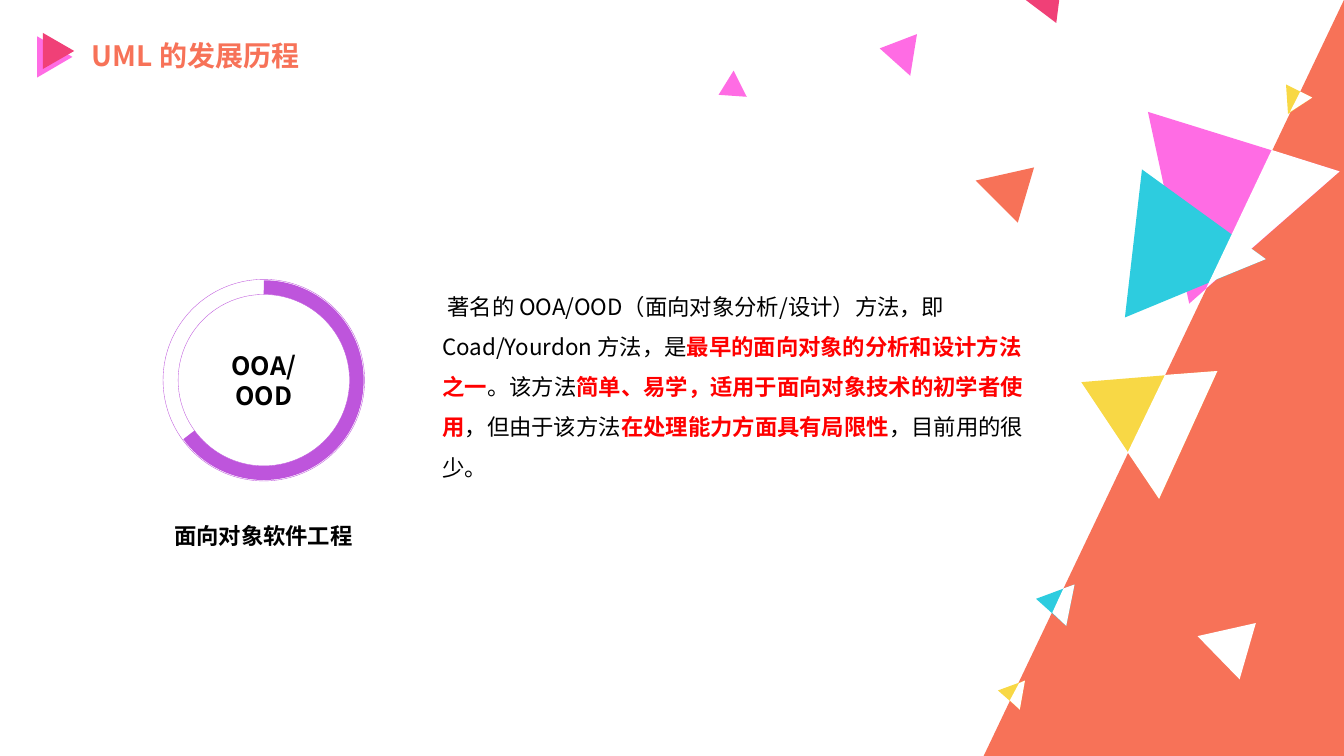
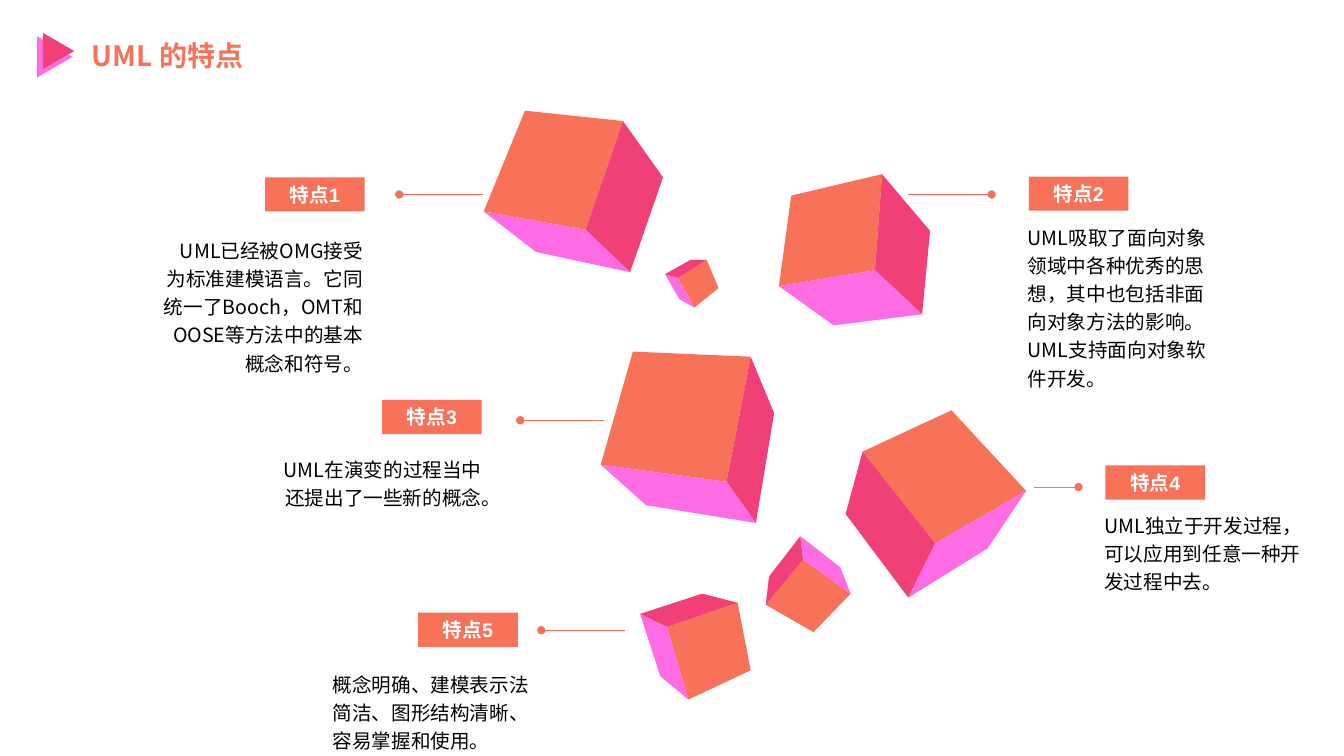
"""Build two slides on the history and the features of UML."""
from lxml import etree
from pptx import Presentation
from pptx import util as u
from pptx.dml.color import RGBColor
from pptx.enum import shapes, text
from pptx.oxml.ns import qn

ORANGE = RGBColor(0xF7, 0x72, 0x58)
MAGENTA = RGBColor(0xFF, 0x6C, 0xE4)
CRIMSON = RGBColor(0xF0, 0x40, 0x77)
CYAN = RGBColor(0x2D, 0xCC, 0xDF)
YELLOW = RGBColor(0xF8, 0xD8, 0x45)
PURPLE = RGBColor(0xBE, 0x55, 0xDC)
RED = RGBColor(0xFF, 0, 0)
BLACK = RGBColor(0, 0, 0)
WHITE = RGBColor(0xFF, 0xFF, 0xFF)

CJK = "Noto Sans CJK SC"
LEFT, CENTER, RIGHT = text.PP_ALIGN.LEFT, text.PP_ALIGN.CENTER, text.PP_ALIGN.RIGHT
TITLE_FONT = {"name": CJK, "size": u.Pt(20), "bold": True, "color": ORANGE}
RING_FONT = {"name": CJK, "size": u.Pt(18), "bold": True, "color": BLACK}
CAPTION_FONT = {"name": "Arial", "size": u.Pt(16), "bold": True, "color": BLACK}
BODY_FONT = {"name": CJK, "size": u.Pt(16), "bold": False, "color": BLACK}
NOTE_FONT = {"name": CJK, "size": u.Pt(14), "bold": False, "color": BLACK}
LABEL_FONT = {"name": "Arial", "size": u.Pt(14), "bold": True, "color": WHITE}
KEY = {"bold": True, "color": RED}
WIDE_LINES = {"line_spacing": 1.5, "space_before": u.Pt(3.2)}
NOTE_LINES = {"line_spacing": 1.2, "space_before": u.Pt(2.8)}
NO_INSETS = dict.fromkeys(
    ("margin_left", "margin_top", "margin_right", "margin_bottom"), 0)

CONFETTI = [
    (ORANGE, [(26.06, 4.22), (25.65, 5.61), (24.59, 4.55)]),
    (MAGENTA, [(29.97, 7.65), (28.93, 2.82), (33.76, 4.32)]),
    (CYAN, [(28.35, 8), (28.78, 4.27), (31.9, 6.53)]),
    (CYAN, [(26.11, 15.09), (27.08, 14.73), (26.87, 15.77)]),
    (YELLOW, [(25.15, 17.4), (25.83, 17.15), (25.7, 17.88)]),
    (YELLOW, [(27.25, 9.63), (30.68, 9.35), (29.21, 12.57)]),
    (YELLOW, [(32.46, 2.87), (32.41, 2.13), (33.07, 2.46)]),
    (MAGENTA, [(22.17, 1.22), (23.11, 0.86), (22.94, 1.91)]),
    (CRIMSON, [(26.62, 0.58), (25.81, -0.03), (26.75, -0.43)]),
    (WHITE, [(31.65, 15.7), (31.24, 17.12), (30.18, 16.03)]),
    (WHITE, [(32.05, 3.78), (33.76, 4.32), (30.4, 7.26)]),
    (WHITE, [(31.06, 5.92), (31.9, 6.53), (30.48, 7.11)]),
    (WHITE, [(27.08, 14.73), (26.87, 15.77), (26.52, 15.44), (26.8, 14.83)]),
    (WHITE, [(25.83, 17.15), (25.7, 17.88), (25.45, 17.65), (25.68, 17.22)]),
    (WHITE, [(30.68, 9.35), (29.21, 12.57), (28.42, 11.4), (29.36, 9.45)]),
    (WHITE, [(32.77, 2.31), (33.07, 2.46), (32.51, 2.82)]),
    (MAGENTA, [(18.11, 2.39), (18.49, 1.78), (18.82, 2.44)]),
]

CUBES = [
    ((22.05, 6.81), [(19.63, 7.21), (19.94, 4.93), (22.23, 4.39),
                     (23.44, 5.82), (23.24, 7.92), (21.01, 8.2)]),
    ((23.57, 13.69), [(25.86, 12.37), (23.98, 10.34), (21.74, 11.38),
                      (21.31, 12.95), (22.89, 15.06), (24.89, 13.82)]),
    ((14.76, 5.79), [(12.19, 5.33), (13.23, 2.79), (15.7, 3.05),
                     (16.71, 4.47), (15.88, 6.86), (13.51, 6.35)]),
    ((18.31, 12.14), [(15.14, 11.71), (15.95, 8.86), (18.92, 8.99),
                      (19.51, 10.41), (19.05, 13.18), (16.28, 12.73)]),
    ((17.09, 7.01), [(17.5, 7.75), (18.11, 7.26), (17.81, 6.55),
                     (17.4, 6.55), (16.76, 6.91), (17.12, 7.54)]),
    ((20.24, 14.1), [(21.44, 14.96), (20.5, 15.93), (19.3, 15.24),
                     (19.38, 14.53), (20.17, 13.51), (21.18, 14.3)]),
    ((16.81, 15.8), [(17.35, 17.63), (18.92, 16.89), (18.59, 15.19),
                     (17.7, 14.96), (16.13, 15.47), (16.64, 17.04)]),
]

FEATURES = [
    ("特点1", (6.68, 4.47), (12.17, 10.06, 4.9), (3.84, 5.77, 5.56, 3.84), RIGHT,
     "UML已经被OMG接受为标准建模语言。它同统一了Booch，OMT和OOSE等方法中的基本概念和符号。"),
    ("特点2", (25.93, 4.45), (22.89, 24.99, 4.9), (25.65, 5.44, 5.36, 4.57), LEFT,
     "UML吸取了面向对象领域中各种优秀的思想，其中也包括非面向对象方法的影响。"
     "UML支持面向对象软件开发。"),
    ("特点3", (9.63, 10.08), (15.21, 13.11, 10.59), (6.5, 11.3, 5.89, 1.7), RIGHT,
     "UML在演变的过程当中还提出了一些新的概念。"),
    ("特点4", (27.86, 11.73), (26.06, 27.18, 12.27), (27.58, 12.7, 5.54, 2.41), LEFT,
     "UML独立于开发过程，可以应用到任意一种开发过程中去。"),
    ("特点5", (10.54, 15.44), (15.75, 13.64, 15.88), (8.13, 16.71, 5.54, 2.41), LEFT,
     "概念明确、建模表示法简洁、图形结构清晰、容易掌握和使用。"),
]

HISTORY = [
    (" 著名的 OOA/OOD（面向对象分析/设计）方法，即 Coad/Yourdon 方法，是", {}),
    ("最早的面向对象的分析和设计方法之一", KEY),
    ("。该方法", {}),
    ("简单、易学，适用于面向对象技术的初学者使用", KEY),
    ("，但由于该方法", {}),
    ("在处理能力方面具有局限性", KEY),
    ("，目前用的很少。", {}),
]


def set_values(target, values):
    """Set every attribute named in a dict of format values."""
    for name, value in values.items():
        setattr(target, name, value)


def lengths(*values):
    """Turn centimetre numbers into lengths."""
    return [u.Cm(value) for value in values]


def write_paragraph(para, spans, font, layout):
    """Fill a paragraph with spans, each with its own changes to the font."""
    set_values(para, layout)
    for words, changes in spans:
        span = para.add_run()
        span.text = words
        values = {**font, **changes}
        span.font.color.rgb = values.pop("color")
        set_values(span.font, values)
        east_asian = etree.SubElement(span.font._element, qn("a:ea"))
        east_asian.set("typeface", CJK)


def paint(shape, fill=None, line=None, width=0):
    """Give a shape a plain fill, a plain outline and no shadow."""
    shape.shadow.inherit = False
    for part, colour in ((shape.fill, fill), (shape.line.fill, line)):
        if colour is None:
            part.background()
        else:
            part.solid()
            part.fore_color.rgb = colour
    if line is not None:
        shape.line.width = u.Pt(width)


def add_preset(page, kind, at, **look):
    """Add a preset shape at a place given in centimetres."""
    shape = page.shapes.add_shape(kind, *lengths(*at))
    paint(shape, **look)
    return shape


def add_polygon(page, points, colour):
    """Add a filled polygon through points given in centimetres."""
    corners = [tuple(lengths(*point)) for point in points]
    builder = page.shapes.build_freeform(*corners[0])
    builder.add_line_segments(corners[1:], close=True)
    paint(builder.convert_to_shape(), fill=colour)


def add_text(page, at, spans, font, layout, insets=None):
    """Add a wrapping text box with one paragraph."""
    box = page.shapes.add_textbox(*lengths(*at))
    set_values(box.text_frame, {"word_wrap": True, **(insets or {})})
    write_paragraph(box.text_frame.paragraphs[0], spans, font, layout)


def add_titled_page(deck, words):
    """Add a slide with the shared title style and its double triangle."""
    page = deck.slides.add_slide(deck.slide_layouts.get_by_name("Title Only"))
    title = page.shapes.title
    place = zip(("left", "top", "width", "height"), lengths(2.06, 0.84, 8, 1.12))
    set_values(title, dict(place))
    set_values(title.text_frame, {"vertical_anchor": text.MSO_ANCHOR.TOP,
                                  "auto_size": text.MSO_AUTO_SIZE.NONE,
                                  "word_wrap": True})
    write_paragraph(title.text_frame.paragraphs[0], [(words, {})], TITLE_FONT,
                    {"alignment": LEFT})
    for at, colour in (((0.86, 0.99, 1.04, 0.89), MAGENTA),
                       ((1.02, 0.89, 0.91, 0.79), CRIMSON)):
        mark = add_preset(page, shapes.MSO_SHAPE.ISOSCELES_TRIANGLE, at, fill=colour)
        mark.rotation = 90
    return page


def add_ring(page, center, lines):
    """Add a progress ring around a few centred lines of text."""
    def circle(kind, size, width):
        """Add one outline that shares the center of the ring."""
        at = (center[0] - size / 2, center[1] - size / 2, size, size)
        return add_preset(page, kind, at, line=PURPLE, width=width)

    circle(shapes.MSO_SHAPE.OVAL, 5.08, 0.25)
    frame = circle(shapes.MSO_SHAPE.OVAL, 4.32, 0.25).text_frame
    frame.vertical_anchor = text.MSO_ANCHOR.MIDDLE
    for index, words in enumerate(lines):
        para = frame.add_paragraph() if index else frame.paragraphs[0]
        write_paragraph(para, [(words, {})], RING_FONT, {"alignment": CENTER})
    arc = circle(shapes.MSO_SHAPE.ARC, 4.68, 10)
    arc.adjustments[0] = 162
    arc.adjustments[1] = 86.31


def add_cube(page, near, outline):
    """Add a cube as three faces that meet at its near corner."""
    for start, colour in zip((0, 2, 4), (ORANGE, CRIMSON, MAGENTA)):
        face = [outline[(start + step) % 6] for step in range(3)]
        add_polygon(page, [near, *face], colour)


def add_pointer(page, start, end, level):
    """Add a thin level line that ends in a dot."""
    pointer = page.shapes.add_connector(
        shapes.MSO_CONNECTOR.STRAIGHT, *lengths(start, level, end, level))
    pointer.line.color.rgb = ORANGE
    pointer.line.width = u.Pt(0.5)
    outline = pointer.line._get_or_add_ln()
    etree.SubElement(outline, qn("a:tailEnd")).set("type", "oval")
    etree.SubElement(pointer._element.spPr, qn("a:effectLst"))


def add_feature(page, name, corner, pointer, note_at, alignment, note):
    """Add a feature label with its pointer and its note."""
    add_pointer(page, *pointer)
    label = add_preset(page, shapes.MSO_SHAPE.RECTANGLE, (*corner, 2.51, 0.86),
                       fill=ORANGE)
    label.text_frame.vertical_anchor = text.MSO_ANCHOR.MIDDLE
    write_paragraph(label.text_frame.paragraphs[0], [(name, {})], LABEL_FONT,
                    {"alignment": CENTER})
    add_text(page, note_at, [(note, {})], NOTE_FONT,
             {"alignment": alignment, **NOTE_LINES})


def build_history(deck):
    """Build the slide on the history of UML."""
    page = add_titled_page(deck, "UML 的发展历程")
    add_ring(page, (6.65, 9.58), ("OOA/", "OOD"))
    add_text(page, (2.59, 12.83, 8.1, 0.91), [("面向对象软件工程", {})],
             CAPTION_FONT, {"alignment": CENTER, **WIDE_LINES}, NO_INSETS)
    corner = add_preset(page, shapes.MSO_SHAPE.ISOSCELES_TRIANGLE,
                        (24.79, 0, 9.08, 19.05), fill=ORANGE)
    corner.adjustments[0] = 1
    for colour, points in CONFETTI:
        add_polygon(page, points, colour)
    add_text(page, (11.15, 7.04, 14.68, 5.13), HISTORY, BODY_FONT, WIDE_LINES,
             NO_INSETS)


def build_features(deck):
    """Build the slide on the features of UML."""
    page = add_titled_page(deck, "UML 的特点")
    for near, outline in CUBES:
        add_cube(page, near, outline)
    for feature in FEATURES:
        add_feature(page, *feature)


def main():
    """Build and save the deck."""
    deck = Presentation()
    deck.slide_width, deck.slide_height = lengths(33.87, 19.05)
    build_history(deck)
    build_features(deck)
    deck.save("out.pptx")


if __name__ == "__main__":
    main()
